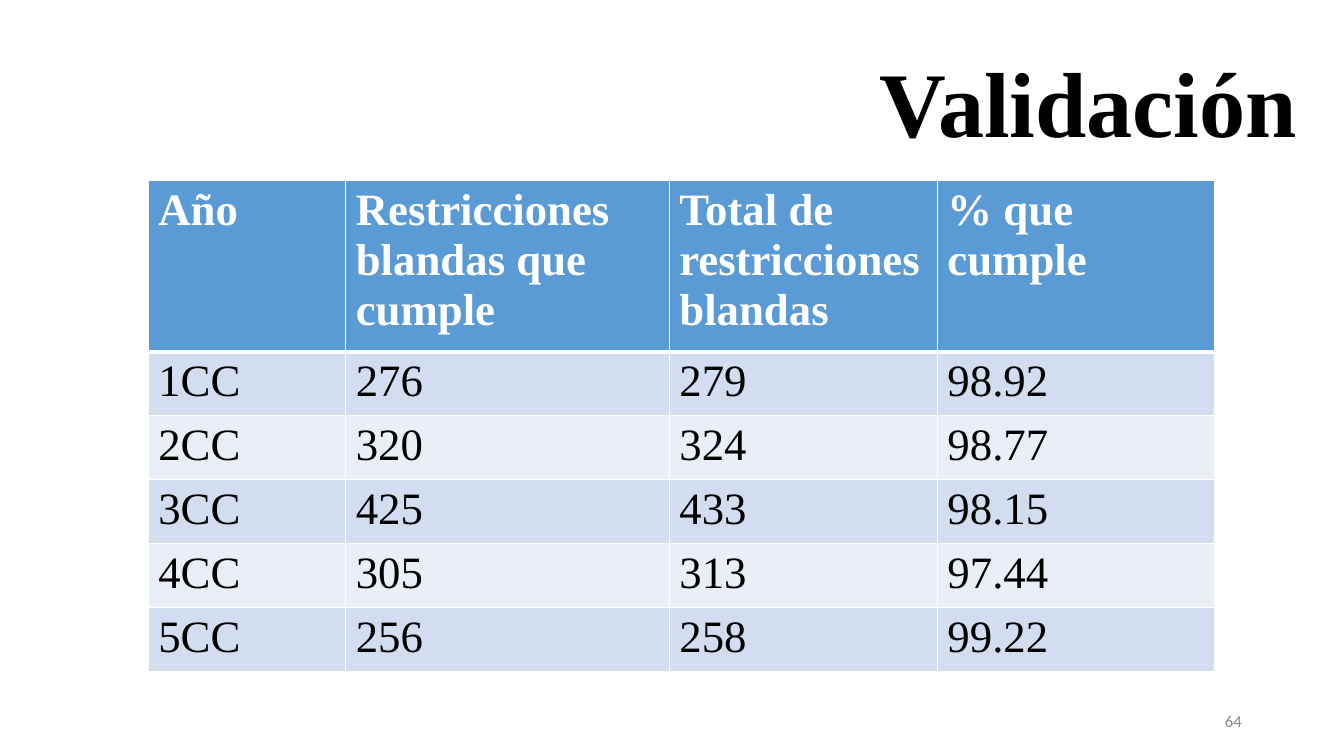
from dataclasses import dataclass

from lxml.etree import SubElement
from pptx import Presentation
from pptx.dml.color import RGBColor as RGB
from pptx.enum.text import MSO_ANCHOR as Anchor, PP_ALIGN as Align
from pptx.oxml.ns import qn
from pptx.slide import Slide
from pptx.table import _Cell as Cell
from pptx.text.text import Font
from pptx.util import Inches, Length, Pt

GRID_COLUMNS, GRID_ROWS = 160, 90
GRID_STEP = Inches(1 / 12)


@dataclass(frozen=True)
class TextStyle:
    typeface: str
    size: int
    color: str
    bold: bool = False


@dataclass(frozen=True)
class Theme:
    title: TextStyle = TextStyle("Times New Roman", 66, "000000", True)
    header: TextStyle = TextStyle("Times New Roman", 32, "FFFFFF", True)
    body: TextStyle = TextStyle("Times New Roman", 32, "000000")
    page_number: TextStyle = TextStyle("Calibri", 12, "8C8C8C")
    header_fill: str = "5B9BD5"
    band_fills: tuple[str, str] = ("D2DEEF", "EAEFF7")
    border: str = "FFFFFF"
    border_width: int = 1
    header_rule_width: int = 3


@dataclass(frozen=True)
class Label:
    text: str
    left: float
    top: float
    width: float
    height: float
    style: TextStyle
    line_spacing: float = 1.0


@dataclass(frozen=True)
class YearResult:
    year: str
    met: int
    total: int
    percent: str

    def texts(self) -> list[str]:
        return [self.year, str(self.met), str(self.total), self.percent]


THEME = Theme()
LABELS = [
    Label("Validación", 17.64, 4.08, 138, 17.4, THEME.title, 0.9),
    Label("64", 113.04, 83.4, 36, 4.8, THEME.page_number),
]
HEADINGS = ["Año", "Restricciones blandas que cumple",
            "Total de restricciones blandas", "% que cumple"]
RESULTS = [
    YearResult("1CC", 276, 279, "98.92"),
    YearResult("2CC", 320, 324, "98.77"),
    YearResult("3CC", 425, 433, "98.15"),
    YearResult("4CC", 305, 313, "97.44"),
    YearResult("5CC", 256, 258, "99.22"),
]
TABLE_LEFT, TABLE_TOP = 17.64, 21.48
COLUMN_WIDTHS = [23.52, 38.52, 31.92, 33]
HEADER_HEIGHT, BODY_HEIGHT = 18.84, 7.12


def grid(steps: float) -> Length:
    return Length(round(steps * GRID_STEP))


def apply_style(font: Font, style: TextStyle) -> None:
    font.name = style.typeface
    font.size = Pt(style.size)
    font.bold = style.bold
    font.color.rgb = RGB.from_string(style.color)


def add_label(slide: Slide, label: Label) -> None:
    frame = slide.shapes.add_textbox(
        grid(label.left), grid(label.top), grid(label.width), grid(label.height)
    ).text_frame
    frame.word_wrap = True
    frame.vertical_anchor = Anchor.MIDDLE
    frame.text = label.text
    paragraph = frame.paragraphs[0]
    paragraph.alignment = Align.RIGHT
    paragraph.line_spacing = label.line_spacing
    apply_style(paragraph.runs[0].font, label.style)


def set_borders(cell: Cell, top: int, bottom: int) -> None:
    """Draw all four sides; must run before the cell gets its fill."""
    side = THEME.border_width
    properties = cell._tc.get_or_add_tcPr()
    for tag, width in (("lnL", side), ("lnR", side), ("lnT", top), ("lnB", bottom)):
        line = SubElement(properties, qn(f"a:{tag}"), w=str(Pt(width)))
        fill = SubElement(line, qn("a:solidFill"))
        SubElement(fill, qn("a:srgbClr"), val=THEME.border)


def add_results_table(slide: Slide) -> None:
    rows = [HEADINGS] + [result.texts() for result in RESULTS]
    heights = [HEADER_HEIGHT] + [BODY_HEIGHT] * len(RESULTS)
    table = slide.shapes.add_table(
        len(rows), len(HEADINGS), grid(TABLE_LEFT), grid(TABLE_TOP),
        grid(sum(COLUMN_WIDTHS)), grid(sum(heights)),
    ).table
    for column, width in zip(table.columns, COLUMN_WIDTHS):
        column.width = grid(width)
    for index, (texts, height) in enumerate(zip(rows, heights)):
        table.rows[index].height = grid(height)
        is_header = index == 0
        style = THEME.header if is_header else THEME.body
        fill = THEME.header_fill if is_header else THEME.band_fills[(index - 1) % 2]
        top = THEME.header_rule_width if index == 1 else THEME.border_width
        bottom = THEME.header_rule_width if is_header else THEME.border_width
        for cell, text in zip(table.rows[index].cells, texts):
            set_borders(cell, top, bottom)
            cell.fill.solid()
            cell.fill.fore_color.rgb = RGB.from_string(fill)
            cell.text_frame.text = text
            apply_style(cell.text_frame.paragraphs[0].runs[0].font, style)


def main() -> None:
    deck = Presentation()
    deck.slide_width = grid(GRID_COLUMNS)
    deck.slide_height = grid(GRID_ROWS)
    slide = deck.slides.add_slide(deck.slide_layouts[6])
    for label in LABELS:
        add_label(slide, label)
    add_results_table(slide)
    deck.save("out.pptx")


if __name__ == "__main__":
    main()
